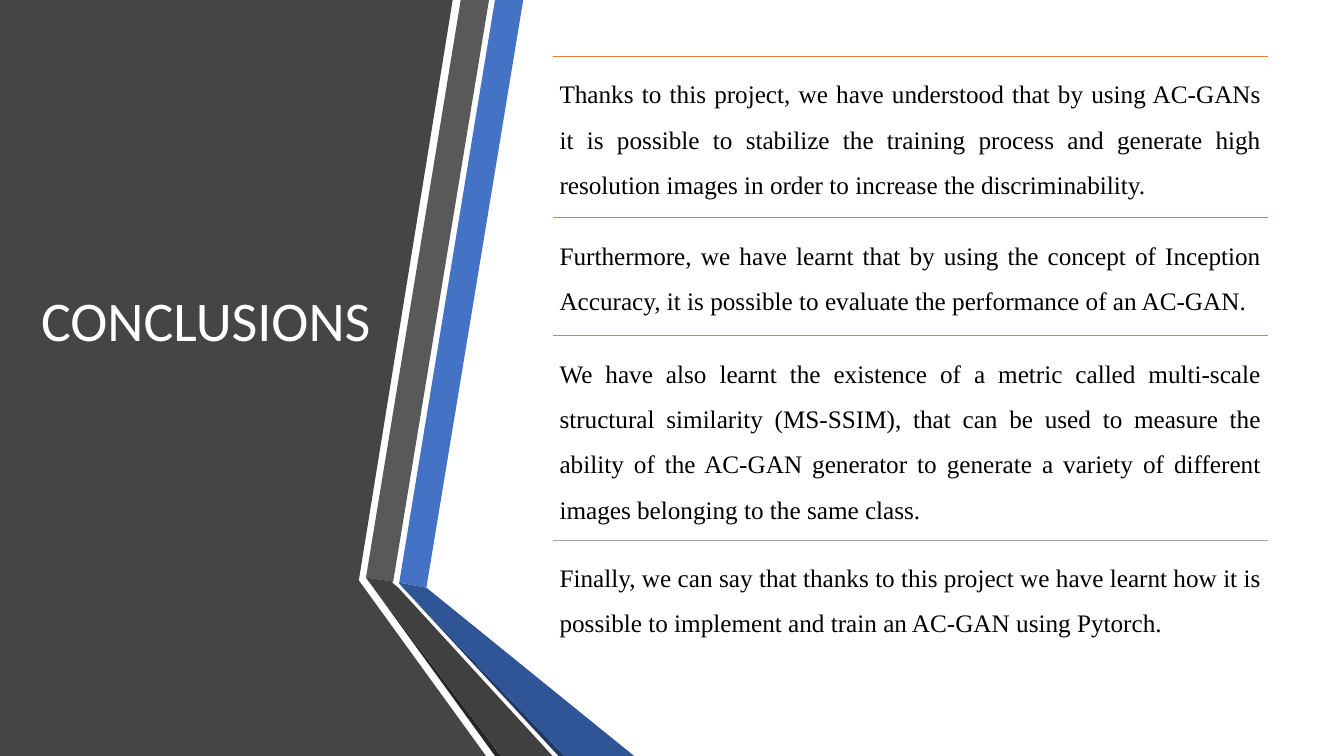
from pptx import Presentation
from pptx.dml.color import RGBColor
from pptx.enum.shapes import MSO_CONNECTOR
from pptx.enum.text import MSO_ANCHOR, PP_ALIGN
from pptx.oxml.ns import qn
from pptx.util import Inches, Pt
from lxml.etree import SubElement

WHITE = RGBColor(0xFF, 0xFF, 0xFF)
BLACK = RGBColor(0x00, 0x00, 0x00)
PANEL = RGBColor(0x45, 0x45, 0x45)
BLUE = RGBColor(0x44, 0x72, 0xC4)
GRAY = RGBColor(0x59, 0x59, 0x59)
COAL = RGBColor(0x26, 0x26, 0x26)
NAVY = RGBColor(0x20, 0x38, 0x64)
DEEP = RGBColor(0x2F, 0x55, 0x97)
DARK = RGBColor(0x40, 0x40, 0x40)
ORANGE = RGBColor(0xED, 0x7D, 0x31)
CORAL = RGBColor(0xD1, 0x7B, 0x5C)
ROSE = RGBColor(0xB9, 0x8A, 0x82)
SILVER = RGBColor(0xA5, 0xA5, 0xA5)

deck = Presentation()
deck.slide_width = Inches(13.33)
deck.slide_height = Inches(7.5)
slide = deck.slides.add_slide(deck.slide_layouts[6])
shapes = slide.shapes


def add_text(box, text, font, size, color):
    frame = box.text_frame
    frame.word_wrap = True
    para = frame.paragraphs[0]
    run = para.add_run()
    run.text = text
    run.font.name = font
    run.font.size = Pt(size)
    run.font.color.rgb = color
    return frame, para


bands = [
    (PANEL, [(0, 0), (4.49, 0), (3.56, 5.75), (3.56, 5.76), (4.82, 7.5), (0, 7.5)]),
    (BLUE, [(3.96, 5.78), (4.23, 5.83), (5.19, 0), (4.91, 0)]),
    (GRAY, [(4.85, 0), (4.57, 0), (3.63, 5.73), (3.9, 5.77)]),
    (COAL, [(3.63, 5.73), (4.91, 7.5), (4.97, 7.5)]),
    (NAVY, [(3.96, 5.79), (5.54, 7.5), (5.6, 7.5)]),
    (DEEP, [(3.96, 5.79), (5.6, 7.5), (6.29, 7.5), (4.23, 5.83), (3.96, 5.78)]),
    (DARK, [(5.48, 7.5), (3.95, 5.83), (3.89, 5.78), (3.9, 5.77), (3.63, 5.73), (4.97, 7.5)]),
]
for color, points in bands:
    first, *rest = [(Inches(x), Inches(y)) for x, y in points]
    pen = shapes.build_freeform(*first)
    pen.add_line_segments(rest, close=True)
    band = pen.convert_to_shape()
    band.shadow.inherit = False
    band.fill.solid()
    band.fill.fore_color.rgb = color
    band.line.fill.background()

title = shapes.add_textbox(Inches(0.31), Inches(0.42), Inches(3.73), Inches(5.58))
frame, para = add_text(title, "CONCLUSIONS", "Calibri", 40, WHITE)
frame.vertical_anchor = MSO_ANCHOR.MIDDLE
para.line_spacing = 0.9
para.space_after = Pt(6)

left, width = 5.48, 7.1
points = [
    (0.56, 1.6, ORANGE, "Thanks to this project, we have understood that by using AC-GANs it is possible to stabilize the training process and generate high resolution images in order to increase the discriminability."),
    (2.16, 1.17, CORAL, "Furthermore, we have learnt that by using the concept of Inception Accuracy, it is possible to evaluate the performance of an AC-GAN."),
    (3.33, 2.03, ROSE, "We have also learnt the existence of a metric called multi-scale structural similarity (MS-SSIM), that can be used to measure the ability of the AC-GAN generator to generate a variety of different images belonging to the same class."),
    (5.36, 1.03, SILVER, "Finally, we can say that thanks to this project we have learnt how it is possible to implement and train an AC-GAN using Pytorch."),
]
for top, height, color, text in points:
    rule = shapes.add_connector(
        MSO_CONNECTOR.STRAIGHT, Inches(left), Inches(top), Inches(left + width), Inches(top))
    rule.line.color.rgb = color
    rule.line.width = Pt(1)
    SubElement(rule._element.spPr, qn("a:effectLst"))

    box = shapes.add_textbox(Inches(left), Inches(top), Inches(width), Inches(height))
    frame, para = add_text(box, text, "Times New Roman", 18, BLACK)
    frame.margin_left = frame.margin_right = Inches(0.07)
    frame.margin_top = frame.margin_bottom = Inches(0.07)
    para.alignment = PP_ALIGN.JUSTIFY
    para.line_spacing = 1.5

deck.save("out.pptx")
